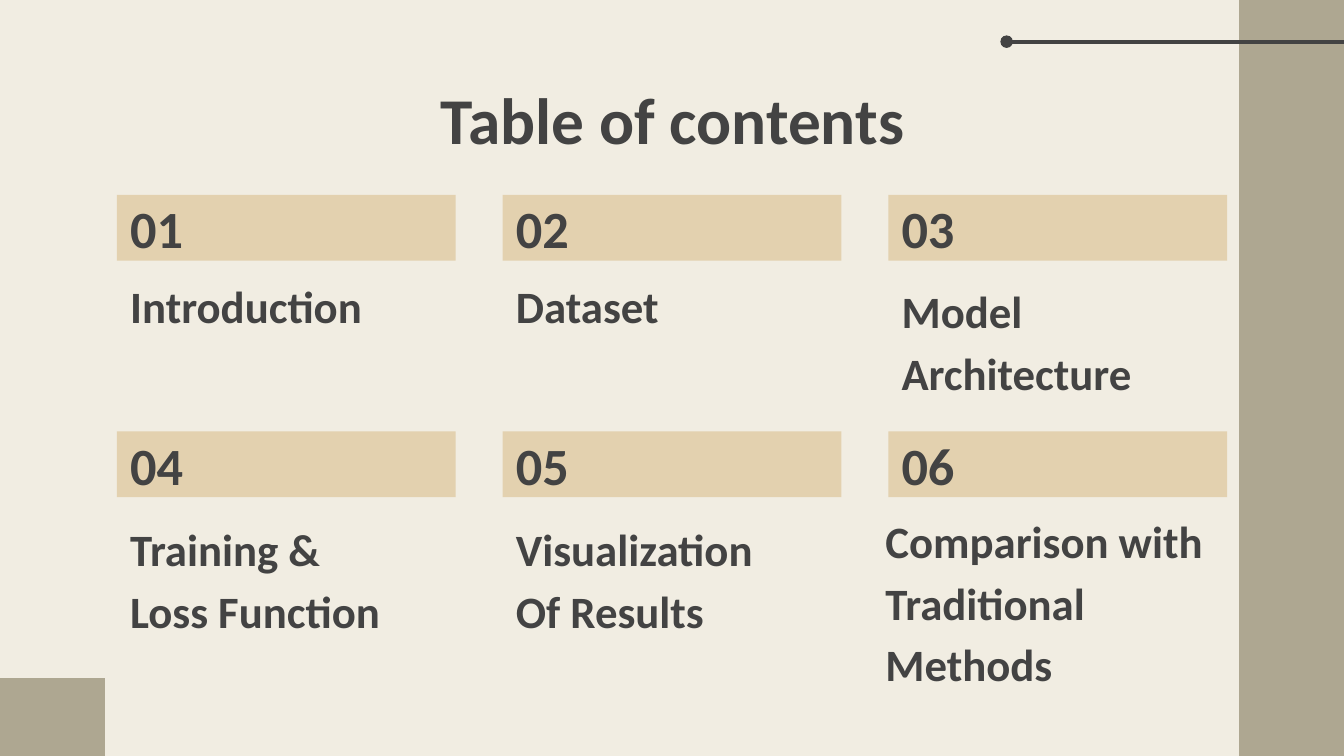
from lxml import etree
from pptx import Presentation
from pptx import util as u
from pptx.dml.color import RGBColor
from pptx.enum import shapes, text
from pptx.oxml.ns import qn

CREAM = RGBColor(0xF1, 0xED, 0xE2)
OLIVE = RGBColor(0xAE, 0xA7, 0x91)
SAND = RGBColor(0xE3, 0xD1, 0xAF)
CHARCOAL = RGBColor(0x43, 0x43, 0x43)
FONT = "Calibri"

WIDTH = 10
HEIGHT = WIDTH * 9 / 16
SIDE = 0.78  # width of the side band and of the corner block

# Grid of contents cards
LEFT, TOP = 0.87, 1.45
COLUMN_STEP, ROW_STEP = 2.87, 1.76
CARD_WIDTH, BAR_HEIGHT = 2.52, 0.49
LABEL_OFFSETS = (0.63, 0.64)  # from bar top to label top, by row

# Label lines, label height, extra width to the left
TOPICS = [
    (["Introduction"], 0.49, 0),
    (["Dataset"], 0.49, 0),
    (["Model Architecture"], 0.99, 0),
    (["Training &", "Loss Function"], 0.99, 0),
    (["Visualization", "Of Results"], 0.99, 0),
    (["Comparison with Traditional Methods"], 1.39, 0.12),
]


def inches(*lengths):
    return [u.Inches(length) for length in lengths]


def add_block(slide, box, color):
    shape = slide.shapes.add_shape(shapes.MSO_SHAPE.RECTANGLE, *inches(*box))
    shape.shadow.inherit = False
    shape.fill.solid()
    shape.fill.fore_color.rgb = color
    shape.line.fill.background()
    return shape


def write(shape, lines, size, anchor, align=text.PP_ALIGN.LEFT, spacing=1.0):
    frame = shape.text_frame
    frame.word_wrap = True
    frame.auto_size = text.MSO_AUTO_SIZE.NONE
    frame.vertical_anchor = anchor
    frame.margin_left = frame.margin_right = u.Inches(0.1)
    frame.margin_top = frame.margin_bottom = u.Inches(0.1)
    for index, line in enumerate(lines):
        paragraph = frame.add_paragraph() if index else frame.paragraphs[0]
        paragraph.alignment = align
        paragraph.line_spacing = spacing
        run = paragraph.add_run()
        run.text = line
        run.font.name = FONT
        run.font.size = u.Pt(size)
        run.font.bold = True
        run.font.color.rgb = CHARCOAL


def add_decoration(slide, width, height):
    # Side band and corner block
    add_block(slide, (width - SIDE, 0, SIDE, height), OLIVE)
    add_block(slide, (0, height - 0.58, SIDE, 0.58), OLIVE)

    # Line with a round end
    line = slide.shapes.add_connector(
        shapes.MSO_CONNECTOR.STRAIGHT, *inches(width, 0.31, width - 2.51, 0.31))
    line.line.color.rgb = CHARCOAL
    line.line.width = u.Pt(2.25)
    outline = line._element.spPr.find(qn("a:ln"))
    etree.SubElement(outline, qn("a:tailEnd"), type="oval")
    etree.SubElement(line._element.spPr, qn("a:effectLst"))


def add_title(slide, box):
    title = slide.shapes.add_textbox(*inches(*box))
    write(title, ["Table of contents"], 35, text.MSO_ANCHOR.TOP,
          text.PP_ALIGN.CENTER)


def add_card(slide, left, top, number, topic, label_offset):
    lines, label_height, extra = topic
    bar = add_block(slide, (left, top, CARD_WIDTH, BAR_HEIGHT), SAND)
    write(bar, [f"{number:02d}"], 28, text.MSO_ANCHOR.MIDDLE)
    label = slide.shapes.add_textbox(*inches(
        left - extra, top + label_offset, CARD_WIDTH + extra, label_height))
    write(label, lines, 24, text.MSO_ANCHOR.BOTTOM, spacing=1.15)


def add_contents(slide, left, top):
    for index, topic in enumerate(TOPICS):
        row, column = divmod(index, 3)
        add_card(slide, left + column * COLUMN_STEP, top + row * ROW_STEP,
                 index + 1, topic, LABEL_OFFSETS[row])


def main():
    presentation = Presentation()
    presentation.slide_width, presentation.slide_height = inches(WIDTH, HEIGHT)
    slide = presentation.slides.add_slide(presentation.slide_layouts[6])
    slide.background.fill.solid()
    slide.background.fill.fore_color.rgb = CREAM

    add_decoration(slide, WIDTH, HEIGHT)
    add_title(slide, (0.79, 0.49, 8.43, 0.63))
    add_contents(slide, LEFT, TOP)
    presentation.save("out.pptx")


if __name__ == "__main__":
    main()
